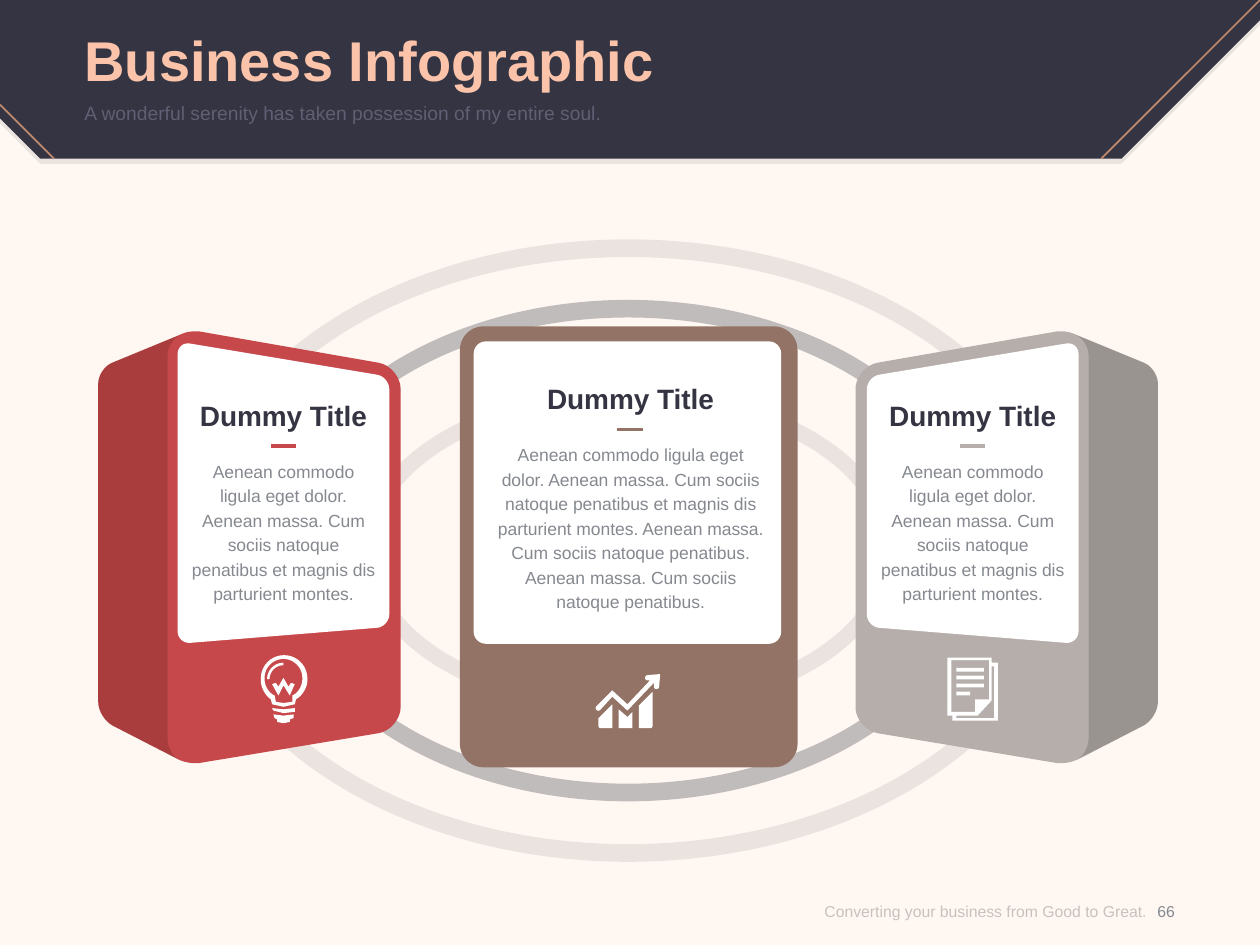
from math import dist

from lxml import etree
from pptx import Presentation
from pptx.dml.color import RGBColor
from pptx.enum.shapes import MSO_CONNECTOR, MSO_SHAPE
from pptx.enum.text import MSO_ANCHOR, MSO_AUTO_SIZE, PP_ALIGN
from pptx.oxml.ns import qn
from pptx.util import Inches, Pt

DONUT, ROUNDED = MSO_SHAPE.DONUT, MSO_SHAPE.ROUNDED_RECTANGLE
STRAIGHT = MSO_CONNECTOR.STRAIGHT
LEFT, CENTER, RIGHT = PP_ALIGN.LEFT, PP_ALIGN.CENTER, PP_ALIGN.RIGHT
TOP, MIDDLE = MSO_ANCHOR.TOP, MSO_ANCHOR.MIDDLE
NO_AUTOFIT = MSO_AUTO_SIZE.NONE
rgb = RGBColor.from_string

NAVY, BROWN, RED, GREY = "343442", "927365", "C7484A", "B6AEAB"
WHITE, PEACH, BRONZE, TEXT_GREY = "FFFFFF", "FBC4AA", "BF896E", "85898F"
MIRROR = 9.97  # a left x and its mirrored right x add up to this

deck = Presentation()
deck.slide_width, deck.slide_height = Inches(10), Inches(7.5)
slide = deck.slides.add_slide(deck.slide_layouts[5])
slide.background.fill.solid()
slide.background.fill.fore_color.rgb = rgb("FFF7F2")
shapes = slide.shapes


def add_filled(kind, color, box=None, contours=(), adjust=0, opacity=100):
    """Add a preset in box, or (kind None) contours of (x, y[, corner radius])."""
    if kind is not None:
        shape = shapes.add_shape(kind, *[Inches(v) for v in box])
        shape.adjustments[0] = adjust
    else:
        builder = None
        for contour in contours:
            points = []
            for i, (x, y, *radius) in enumerate(contour):
                if not radius:
                    points.append((x, y))
                    continue
                ends = []
                for other in (contour[i - 1], contour[(i + 1) % len(contour)]):
                    length = dist((x, y), other[:2])
                    share = min(radius[0] / length, 1)
                    ends.append((x + (other[0] - x) * share, y + (other[1] - y) * share))
                (x1, y1), (x2, y2) = ends
                # Cubic corner whose handles reach 55 % of the way to the tip
                for t in [step / 10 for step in range(11)]:
                    start = (1 - t) ** 3 + 1.35 * t * (1 - t) ** 2
                    end = t ** 3 + 1.35 * t ** 2 * (1 - t)
                    tip = 1 - start - end
                    points.append((start * x1 + tip * x + end * x2,
                                   start * y1 + tip * y + end * y2))
            points = [(Inches(x), Inches(y)) for x, y in points]
            if builder is None:
                builder = shapes.build_freeform(*points[0], scale=1.0)
            else:
                builder.move_to(*points[0])
            builder.add_line_segments(points[1:], close=True)
        shape = builder.convert_to_shape()
    shape.shadow.inherit = False
    shape.line.fill.background()
    shape.fill.solid()
    shape.fill.fore_color.rgb = rgb(color)
    if opacity < 100:
        color_node = next(shape.element.spPr.iter(qn("a:srgbClr")))
        etree.SubElement(color_node, qn("a:alpha"), val=str(opacity * 1000))


def add_text(text, box, size, color, bold=False, align=LEFT, anchor=TOP,
             spacing=None, holder=None):
    left, top, width, height = [Inches(v) for v in box]
    holder = holder or shapes.add_textbox(left, top, width, height)
    holder.left, holder.top, holder.width, holder.height = left, top, width, height
    frame = holder.text_frame
    frame.margin_left = frame.margin_right = frame.margin_top = frame.margin_bottom = 0
    frame.word_wrap, frame.auto_size, frame.vertical_anchor = True, NO_AUTOFIT, anchor
    frame.text = text
    para = frame.paragraphs[0]
    para.alignment = align
    if spacing:
        para.line_spacing = Pt(spacing)
    for span in para.runs:
        span.font.name, span.font.size, span.font.bold = "Arial", Pt(size), bold
        span.font.color.rgb = rgb(color)


# Header band with a soft shadow below it
for drop, opacity in ((0.04, 10), (0, 100)):
    band = [(0, drop), (10, drop), (10, 0.16 + drop), (8.9, 1.26 + drop),
            (0.32, 1.26 + drop), (0, 0.94 + drop)]
    add_filled(None, NAVY, contours=[band], opacity=opacity)

# Concentric rings behind the cards
for width, height, thickness, opacity in (
        (7.02, 4.94, 0.14, 10), (4.27, 2.61, 0.13, 10), (5.65, 3.98, 0.14, 30)):
    add_filled(DONUT, NAVY, box=(4.985 - width / 2, 4.37 - height / 2, width, height),
               adjust=thickness / height, opacity=opacity)

# Centre card
add_filled(ROUNDED, BROWN, box=(3.65, 2.59, 2.68, 3.5), adjust=0.07)
add_filled(ROUNDED, WHITE, box=(3.76, 2.71, 2.44, 2.4), adjust=0.04)

# Side cards: body, shaded side, white panel; the right one is mirrored
body = [(0.78, 2.925, 0.12), (1.52, 2.62, 0.07), (3.18, 2.91, 0.18),
        (3.18, 5.79, 0.18), (1.5, 6.07, 0.09), (0.78, 5.7, 0.13)]
side = [(0.78, 2.925, 0.12), (1.45, 2.65), (1.33, 2.69, 0.13),
        (1.33, 5.98, 0.12), (1.42, 6.03), (0.78, 5.7, 0.13)]
panel = [(1.41, 2.71, 0.1), (3.09, 2.99, 0.1), (3.09, 4.975, 0.1), (1.41, 5.11, 0.1)]
for card_color, mirrored in ((RED, False), (GREY, True)):
    for outline, color, opacity in (
            (body, card_color, 100), (side, "000000", 15), (panel, WHITE, 100)):
        if mirrored:
            outline = [(MIRROR - x, *rest) for x, *rest in outline]
        add_filled(None, color, contours=[outline], opacity=opacity)

# Icons: light bulb, growth chart, document
bulb = [
    [(2.07, 5.2, 0.185), (2.44, 5.2, 0.185), (2.44, 5.5, 0.1), (2.35, 5.55),
     (2.34, 5.59), (2.25, 5.61), (2.16, 5.59), (2.15, 5.55), (2.07, 5.5, 0.1)],
    [(2.1, 5.23, 0.15), (2.4, 5.23, 0.15), (2.4, 5.49, 0.1), (2.32, 5.52),
     (2.32, 5.57), (2.25, 5.58), (2.19, 5.57), (2.18, 5.52), (2.1, 5.49, 0.1)],
    [(2.12, 5.39), (2.12, 5.26, 0.13), (2.25, 5.26), (2.25, 5.28),
     (2.14, 5.28, 0.11), (2.14, 5.39)],
    [(2.16, 5.43), (2.19, 5.42), (2.21, 5.45), (2.25, 5.38), (2.29, 5.45),
     (2.31, 5.42), (2.34, 5.43), (2.3, 5.52), (2.25, 5.44), (2.21, 5.52)],
    [(2.16, 5.62), (2.25, 5.63), (2.34, 5.62), (2.34, 5.65), (2.25, 5.66), (2.17, 5.64)],
    [(2.17, 5.67), (2.25, 5.68), (2.33, 5.67), (2.33, 5.7), (2.3, 5.71),
     (2.3, 5.73), (2.25, 5.74), (2.2, 5.73), (2.2, 5.71), (2.18, 5.7)],
]
growth = [
    [(4.75, 5.7), (4.86, 5.59), (4.86, 5.78), (4.75, 5.78, 0.02)],
    [(4.91, 5.63), (4.98, 5.69), (5.02, 5.65), (5.02, 5.78), (4.91, 5.78)],
    [(5.07, 5.6), (5.18, 5.49), (5.18, 5.78, 0.02), (5.07, 5.78)],
    [(4.72, 5.62, 0.02), (4.86, 5.48), (4.98, 5.59), (5.16, 5.4), (5.12, 5.4, 0.02),
     (5.12, 5.36, 0.02), (5.24, 5.35), (5.23, 5.47, 0.02), (5.19, 5.47, 0.02),
     (5.19, 5.42), (4.98, 5.64), (4.86, 5.53), (4.75, 5.65, 0.02)],
]
document = [
    [(7.52, 5.22), (7.87, 5.22), (7.87, 5.56), (7.76, 5.68), (7.52, 5.68)],
    [(7.55, 5.24), (7.85, 5.24), (7.85, 5.55), (7.74, 5.55), (7.74, 5.65), (7.55, 5.65)],
    [(7.87, 5.26), (7.92, 5.26), (7.92, 5.72), (7.56, 5.72), (7.56, 5.68),
     (7.59, 5.68), (7.59, 5.7), (7.89, 5.7), (7.89, 5.29), (7.87, 5.29)],
]
for row, right in enumerate((7.81, 7.81, 7.81, 7.7)):
    top = 5.3 + row * 0.063
    document.append([(7.59, top), (right, top), (right, top + 0.03), (7.59, top + 0.03)])
for icon in (bulb, growth, document):
    add_filled(None, WHITE, contours=icon)

# Header edges and the short rules under the card titles
for x1, y1, x2, y2, color, weight in (
        (10, 0, 8.74, 1.26, BRONZE, 1), (0, 0.83, 0.43, 1.26, BRONZE, 1),
        (4.9, 3.41, 5.1, 3.41, BROWN, 2), (2.15, 3.54, 2.35, 3.54, RED, 2),
        (7.62, 3.54, 7.82, 3.54, GREY, 2)):
    rule = shapes.add_connector(STRAIGHT, *[Inches(v) for v in (x1, y1, x2, y2)])
    rule.line.color.rgb, rule.line.width = rgb(color), Pt(weight)
    etree.SubElement(rule.element.spPr, qn("a:effectLst"))

# Title, brought in front of the header band, and subtitle
title = shapes.title
title.element.getparent().append(title.element)
add_text("Business Infographic", (0.67, 0.14, 8.66, 0.65), 32, PEACH, bold=True,
         anchor=MIDDLE, holder=title)
add_text("A wonderful serenity has taken possession of my entire soul.",
         (0.67, 0.8, 8.66, 0.39), 11, "605F73")

# Card texts
side_text = ("Aenean commodo\vligula eget dolor. Aenean massa. Cum sociis natoque "
             "penatibus et magnis dis parturient montes.")
center_text = ("Aenean commodo ligula eget dolor. Aenean massa. Cum sociis natoque "
               "penatibus et magnis dis parturient montes. Aenean massa. Cum sociis "
               "natoque penatibus. Aenean massa. Cum sociis natoque penatibus.")
for left, top, width, height, text in (
        (1.51, 3.16, 1.48, 1.18, side_text), (3.94, 3.03, 2.13, 1.37, center_text),
        (6.98, 3.16, 1.48, 1.18, side_text)):
    add_text("Dummy Title", (left, top, width, 0.27), 16, NAVY, bold=True, align=CENTER)
    add_text(text, (left, top + 0.47, width, height), 10, TEXT_GREY,
             align=CENTER, spacing=14)

# Footer and page number
add_text("Converting your business from Good to Great.", (6.04, 6.96, 3.06, 0.54), 9,
         "C6C2BF", align=RIGHT, anchor=MIDDLE)
add_text("66", (9.02, 6.96, 0.47, 0.54), 9, TEXT_GREY, align=CENTER, anchor=MIDDLE)

deck.save("out.pptx")
